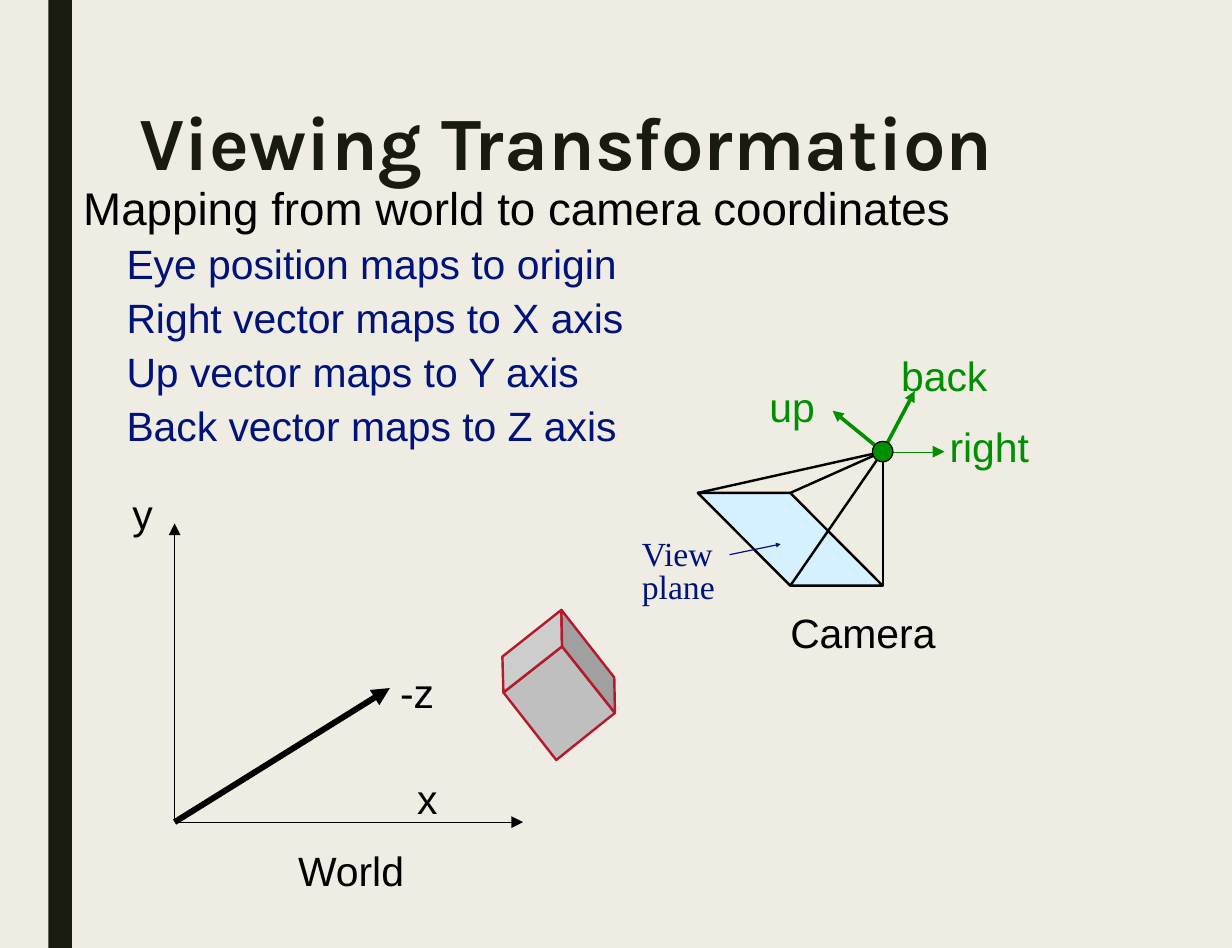
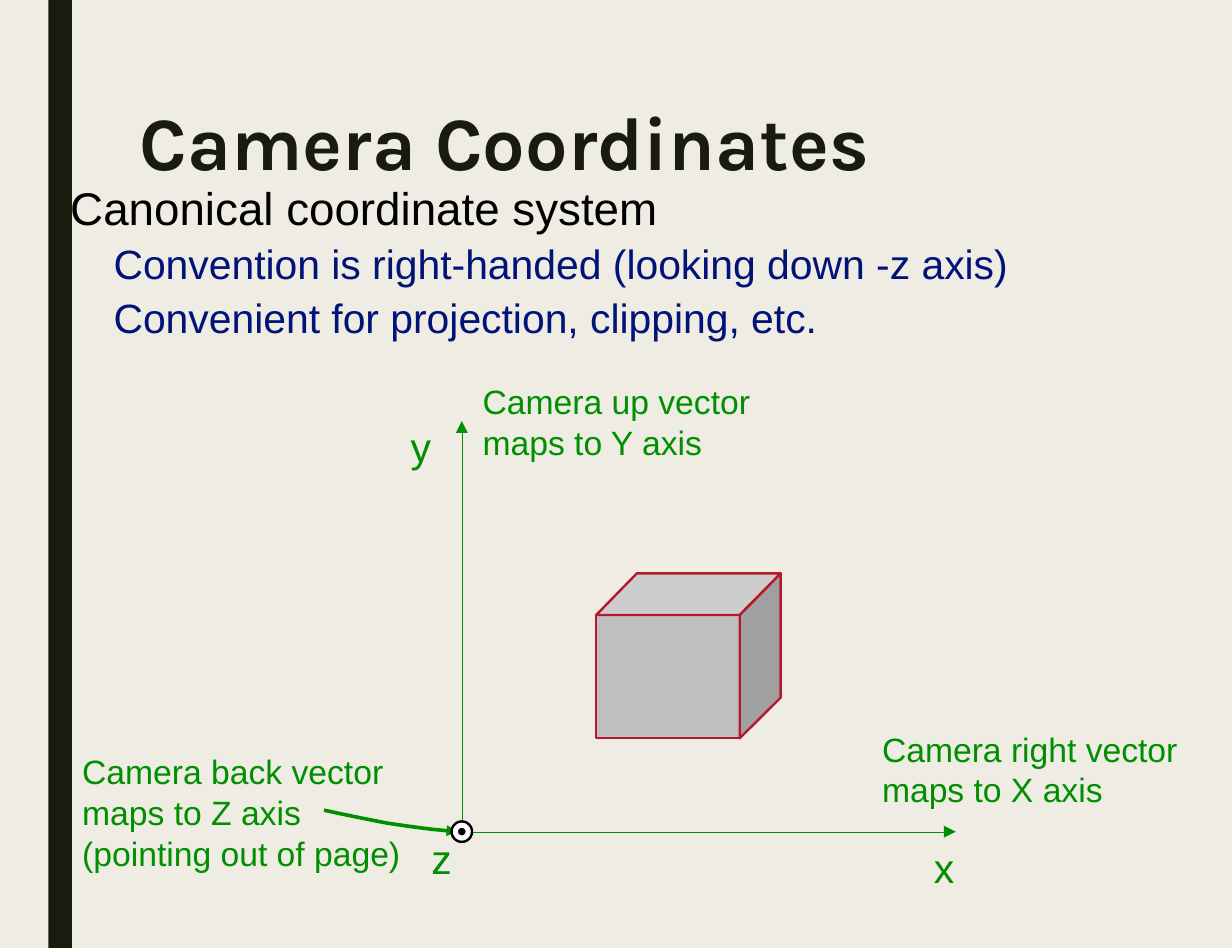
from pptx import Presentation
from pptx.dml.color import RGBColor
from pptx.enum.shapes import MSO_CONNECTOR, MSO_SHAPE
from pptx.oxml.ns import qn
from pptx.util import Cm, Pt
from lxml import etree

STRAIGHT = MSO_CONNECTOR.STRAIGHT
RECTANGLE = MSO_SHAPE.RECTANGLE
OVAL = MSO_SHAPE.OVAL

PAPER = RGBColor(0xEF, 0xED, 0xE3)
INK = RGBColor(0x19, 0x1B, 0x0E)
BLACK = RGBColor(0, 0, 0)
WHITE = RGBColor(0xFF, 0xFF, 0xFF)
NAVY = RGBColor(0x01, 0x12, 0x79)
GREEN = RGBColor(0x00, 0x8F, 0x00)
RED = RGBColor(0xB6, 0x19, 0x2B)
SKY = RGBColor(0xD5, 0xF0, 0xFF)
FRONT_GREY = RGBColor(0xBF, 0xBF, 0xBF)
TOP_GREY = RGBColor(0xCD, 0xCD, 0xCD)
SIDE_GREY = RGBColor(0xA0, 0xA0, 0xA0)

SLIDE_WIDTH, SLIDE_HEIGHT = 36.12, 27.79

# All positions are in centimetres.
VIEWING = {
    "title": "Viewing Transformation",
    "body_left": 2.41,
    "heading": "Mapping from world to camera coordinates",
    "points": ["Eye position maps to origin", "Right vector maps to X axis",
               "Up vector maps to Y axis", "Back vector maps to Z axis"],
    "labels": [
        ("y", 3.88, 14.31, BLACK), ("-z", 11.73, 19.56, BLACK),
        ("x", 12.23, 22.68, BLACK), ("World", 8.74, 24.78, BLACK),
        ("Camera", 23.17, 17.82, BLACK), ("right", 27.84, 12.37, GREEN),
        ("up", 22.56, 11.18, GREEN), ("back", 26.42, 10.29, GREEN),
    ],
    "cube": [(16.46, 17.88), (14.73, 19.25), (14.76, 20.3), (16.31, 22.28),
             (18.03, 20.9), (18.01, 19.86), (16.48, 18.95)],
}
CAMERA = {
    "title": "Camera Coordinates",
    "body_left": 2.03,
    "heading": "Canonical coordinate system",
    "points": ["Convention is right-handed (looking down -z axis)",
               "Convenient for projection, clipping, etc."],
    "labels": [("x", 27.38, 24.71, GREEN), ("y", 12.04, 12.37, GREEN),
               ("z", 12.65, 24.43, GREEN)],
    "cube": [(22.89, 16.81), (18.67, 16.81), (17.48, 18.03), (17.48, 21.64),
             (21.69, 21.64), (22.89, 20.45), (21.69, 18.03)],
}
AXIS_NOTES = [
    (["Camera right vector", "maps to X axis"], 25.86, 21.34),
    (["Camera up vector", "maps to Y axis"], 14.15, 11.15),
    (["Camera back vector", "maps to Z axis", "(pointing out of page)"], 2.41, 22),
]

WORLD_ORIGIN = (5.12, 24.1)
# end point, line width, arrowhead size
WORLD_AXES = [((5.12, 15.34), 0.25, "lg"), ((15.34, 24.1), 0.25, "lg"),
              ((11.43, 20.17), 5, "med")]
EYE = (25.88, 13.24)
EYE_VECTORS = [((27.69, 13.24), 0.25, "lg"), ((24.41, 12.04), 3, "med"),
               ((26.82, 11.46), 3, "med")]
VIEW_PLANE = [(23.17, 14.45), (20.46, 14.45), (23.17, 17.17), (25.88, 17.17)]

CAMERA_ORIGIN = (13.54, 24.38)
CAMERA_AXES = [((13.54, 12.34), 0.25, "lg"), ((28.02, 24.38), 0.25, "lg")]
Z_POINTER = [(9.5, 23.75), (9.96, 23.85), (10.59, 23.98), (11.35, 24.13),
             (12.04, 24.23), (12.65, 24.31), (13.41, 24.38)]

# Corner numbers of each visible cube face
CUBE_FACES = [((6, 2, 3, 4), FRONT_GREY), ((0, 1, 2, 6), TOP_GREY),
              ((0, 6, 4, 5), SIDE_GREY)]


def paint(shape, fill, line=None, width=1):
    shape.shadow.inherit = False
    if fill is None:
        shape.fill.background()
    else:
        shape.fill.solid()
        shape.fill.fore_color.rgb = fill
    if line is None:
        shape.line.fill.background()
    else:
        shape.line.color.rgb = line
        shape.line.width = Pt(width)


def add_arrowhead(shape, size):
    outline = shape.line._get_or_add_ln()
    etree.SubElement(outline, qn("a:tailEnd"), type="triangle", w=size, len=size)


def add_line(slide, start, end, color, width, head=None):
    line = slide.shapes.add_connector(
        STRAIGHT, *(Cm(value) for value in (*start, *end)))
    line.line.color.rgb = color
    line.line.width = Pt(width)
    if head:
        add_arrowhead(line, head)
    etree.SubElement(line._element.spPr, qn("a:effectLst"))


def add_arrows(slide, origin, arrows, color):
    for end, width, head in arrows:
        add_line(slide, origin, end, color, width, head)


def add_outline(slide, points, fill, line, width, close=True):
    corners = [(Cm(x), Cm(y)) for x, y in points]
    builder = slide.shapes.build_freeform(*corners[0])
    builder.add_line_segments(corners[1:], close=close)
    shape = builder.convert_to_shape()
    paint(shape, fill, line, width)
    return shape


def add_circle(slide, center, diameter, fill, line, width):
    left, top = (Cm(value - diameter / 2) for value in center)
    circle = slide.shapes.add_shape(OVAL, left, top, Cm(diameter), Cm(diameter))
    paint(circle, fill, line, width)


def add_text_frame(slide, left, top, width, height, wrap=False):
    box = slide.shapes.add_textbox(Cm(left), Cm(top), Cm(width), Cm(height))
    frame = box.text_frame
    frame.word_wrap = wrap
    frame.margin_left = frame.margin_right = 0
    frame.margin_top = frame.margin_bottom = 0
    return frame


def add_run(paragraph, text, size, color, font="Arial", bold=False):
    run = paragraph.add_run()
    run.text = text
    run.font.name = font
    run.font.size = Pt(size)
    run.font.bold = bold
    run.font.color.rgb = color


def add_label(slide, lines, left, top, color, size=34, font="Arial", spacing=1.0):
    """Add a label in a box with room to spare, so that no line wraps."""
    width = 1.3 + max(len(line) for line in lines) * size * 0.016
    height = len(lines) * size * 0.042
    frame = add_text_frame(slide, left, top, width, height, wrap=True)
    paragraph = frame.paragraphs[0]
    paragraph.line_spacing = spacing
    for index, line in enumerate(lines):
        if index:
            paragraph.add_line_break()
        add_run(paragraph, line, size, color, font)


def add_body(slide, left, heading, points):
    height = 1.6 + 1.55 * len(points)
    frame = add_text_frame(slide, left, 5.26, 28.4, height, wrap=True)
    heading_paragraph = frame.paragraphs[0]
    heading_paragraph._p.get_or_add_pPr().set("marL", str(Cm(0.03)))
    add_run(heading_paragraph, heading, 38, BLACK)
    for point in points:
        paragraph = frame.add_paragraph()
        paragraph.space_before = Pt(4)
        paragraph._p.get_or_add_pPr().set("marL", str(Cm(1.3)))
        add_run(paragraph, point, 34, NAVY)


def add_cube(slide, corners):
    for face, grey in CUBE_FACES:
        add_outline(slide, [corners[number] for number in face], grey, RED, 2)


def add_slide(presentation, content):
    """Add a slide with everything that both slides share."""
    slide = presentation.slides.add_slide(presentation.slide_layouts[6])
    slide.background.fill.solid()
    slide.background.fill.fore_color.rgb = PAPER
    stripe = slide.shapes.add_shape(RECTANGLE, Cm(1.42), 0, Cm(0.69), Cm(SLIDE_HEIGHT))
    paint(stripe, INK)
    title = add_text_frame(slide, 4.09, 2.8, 28.45, 2.67, wrap=True).paragraphs[0]
    title.space_before = Pt(5)
    add_run(title, content["title"], 62.6, INK, "Karla", bold=True)
    add_body(slide, content["body_left"], content["heading"], content["points"])
    for text, left, top, color in content["labels"]:
        add_label(slide, [text], left, top, color)
    add_cube(slide, content["cube"])
    return slide


def add_viewing_slide(presentation):
    slide = add_slide(presentation, VIEWING)
    add_arrows(slide, WORLD_ORIGIN, WORLD_AXES, BLACK)
    add_arrows(slide, EYE, EYE_VECTORS, GREEN)
    add_outline(slide, VIEW_PLANE, SKY, BLACK, 2)
    for corner in VIEW_PLANE:
        add_line(slide, corner, EYE, BLACK, 2)
    add_circle(slide, EYE, 0.6, GREEN, BLACK, 1)
    add_label(slide, ["View", "plane"], 18.82, 15.86, NAVY, 28,
              "Times New Roman", Pt(27))
    add_line(slide, (21.39, 16.26), (22.89, 15.95), NAVY, 1, "sm")


def add_camera_slide(presentation):
    slide = add_slide(presentation, CAMERA)
    add_arrows(slide, CAMERA_ORIGIN, CAMERA_AXES, GREEN)
    for lines, left, top in AXIS_NOTES:
        add_label(slide, lines, left, top, GREEN, 28, spacing=1.01)
    pointer = add_outline(slide, Z_POINTER, None, GREEN, 3, close=False)
    add_arrowhead(pointer, "med")
    add_circle(slide, CAMERA_ORIGIN, 0.6, WHITE, BLACK, 2)
    add_circle(slide, CAMERA_ORIGIN, 0.3, BLACK, WHITE, 2)


def main():
    presentation = Presentation()
    presentation.slide_width = Cm(SLIDE_WIDTH)
    presentation.slide_height = Cm(SLIDE_HEIGHT)
    add_viewing_slide(presentation)
    add_camera_slide(presentation)
    presentation.save("out.pptx")


if __name__ == "__main__":
    main()
